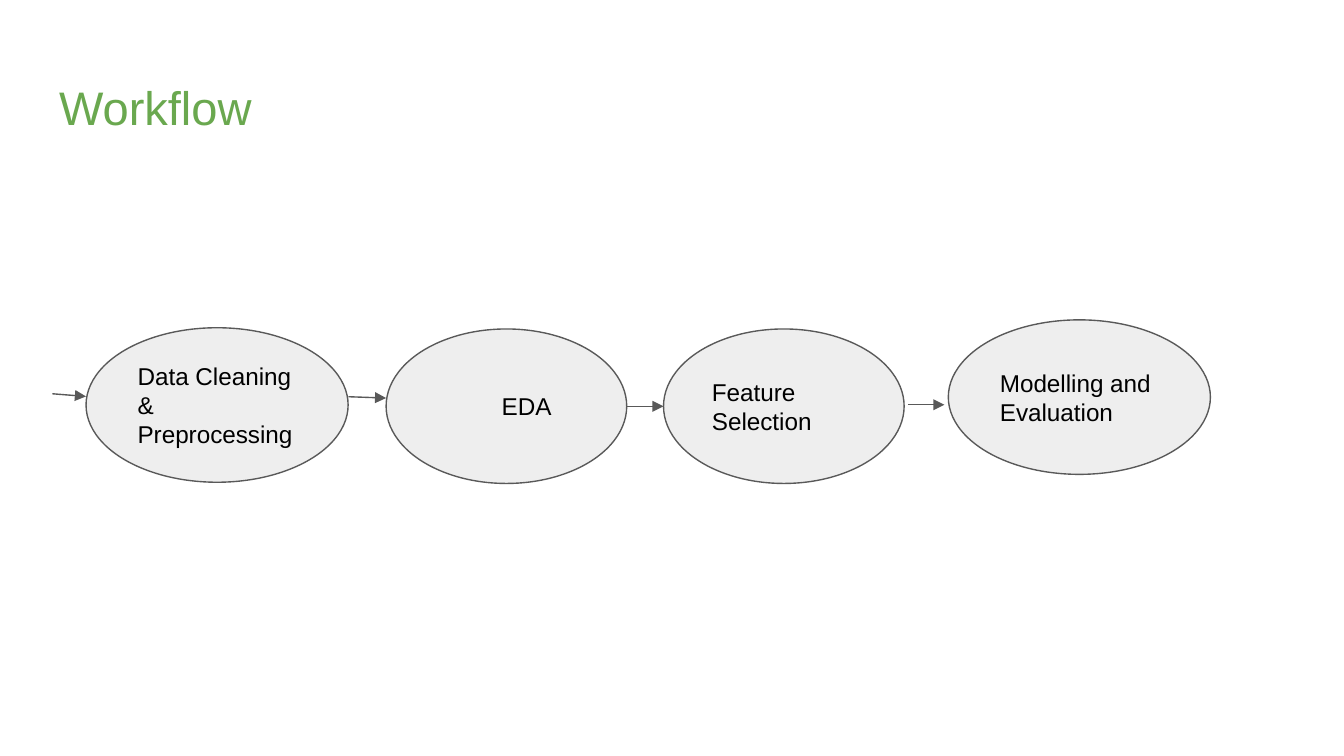
from lxml import etree
from pptx import Presentation
from pptx import util as u
from pptx.dml.color import RGBColor
from pptx.enum import shapes, text
from pptx.oxml.ns import qn

prs = Presentation()
prs.slide_width = u.Inches(10)
prs.slide_height = prs.slide_width * 9 // 16
col, row = prs.slide_width / 100, prs.slide_height / 100
s = prs.slides.add_slide(prs.slide_layouts[6])


def color(target, value):
    target.rgb = RGBColor.from_string(value)


def write(sp, words, size, value, anchor):
    tf = sp.text_frame
    tf.word_wrap = True
    tf.vertical_anchor = anchor
    tf.margin_left = tf.margin_right = tf.margin_top = tf.margin_bottom = u.Inches(0.1)
    p = tf.paragraphs[0]
    p.text = words
    p.alignment = text.PP_ALIGN.LEFT
    p.font.name, p.font.size = "Arial", u.Pt(size)
    color(p.font.color, value)
    return p


title = s.shapes.add_textbox(*map(int, (3.41 * col, 8.65 * row, 93.2 * col, 11.2 * row)))
write(title, "Workflow", 25.2, "6AA84F", text.MSO_ANCHOR.TOP)

steps = [
    ("Data Cleaning & Preprocessing", 6.4, 43.36, 19.5, 0),
    ("EDA", 28.73, 43.52, 17.9, 0.5),
    ("Modelling and Evaluation", 70.56, 42.32, 19.5, 0),
    ("Feature Selection", 49.37, 43.52, 17.9, 0),
]
for words, left, top, width, indent in steps:
    box = map(int, (left * col, top * row, width * col, 20.44 * row))
    sp = s.shapes.add_shape(shapes.MSO_SHAPE.OVAL, *box)
    sp.shadow.inherit = False
    sp.fill.solid()
    color(sp.fill.fore_color, "EEEEEE")
    color(sp.line.color, "595959")
    sp.line.width = u.Pt(0.75)
    p = write(sp, words, 13, "000000", text.MSO_ANCHOR.MIDDLE)
    if indent:
        pPr = p._p.get_or_add_pPr()
        pPr.set("marL", "0")
        pPr.set("indent", str(u.Inches(indent)))

arrows = [
    (3.9, 52.09, 6.4, 52.44),
    (25.93, 52.48, 28.73, 52.66),
    (46.65, 53.75, 49.37, 53.75),
    (67.55, 53.55, 70.27, 53.55),
]
for x1, y1, x2, y2 in arrows:
    ends = map(int, (x1 * col, y1 * row, x2 * col, y2 * row))
    arrow = s.shapes.add_connector(shapes.MSO_CONNECTOR.STRAIGHT, *ends)
    color(arrow.line.color, "595959")
    arrow.line.width = u.Pt(0.75)
    spPr = arrow._element.spPr
    etree.SubElement(spPr.find(qn("a:ln")), qn("a:tailEnd"), type="triangle", w="med", len="med")
    etree.SubElement(spPr, qn("a:effectLst"))

prs.save("out.pptx")
